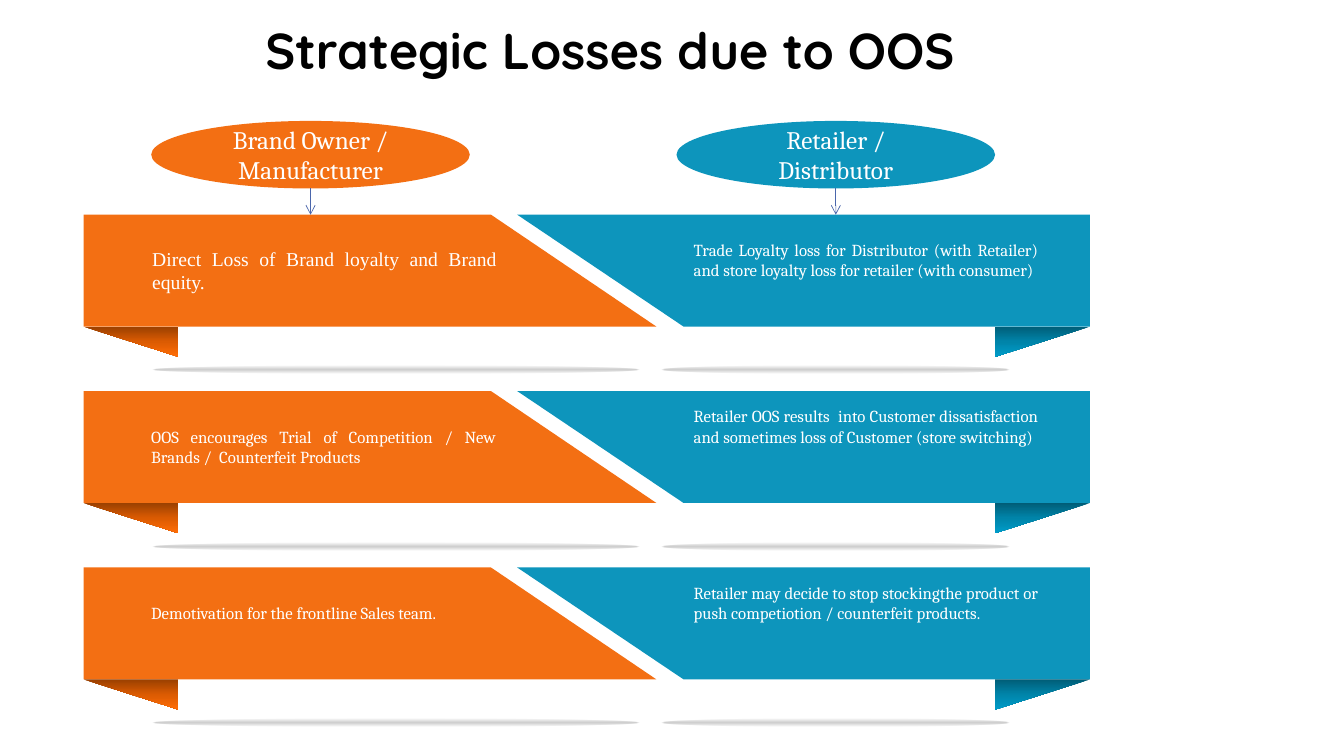
from lxml import etree
from pptx import Presentation
from pptx.dml.color import RGBColor
from pptx.enum.shapes import MSO_CONNECTOR, MSO_SHAPE
from pptx.enum.text import MSO_ANCHOR, MSO_AUTO_SIZE, PP_ALIGN
from pptx.oxml import parse_xml
from pptx.oxml.ns import nsdecls, qn
from pptx.util import Inches, Pt

OVAL, FOLD = MSO_SHAPE.OVAL, MSO_SHAPE.RIGHT_TRIANGLE
LINE = MSO_CONNECTOR.STRAIGHT
CENTER, JUSTIFY = PP_ALIGN.CENTER, PP_ALIGN.JUSTIFY
MIDDLE, BOTTOM, TOP = MSO_ANCHOR.MIDDLE, MSO_ANCHOR.BOTTOM, MSO_ANCHOR.TOP
GROW = MSO_AUTO_SIZE.SHAPE_TO_FIT_TEXT

ORANGE = RGBColor(0xF3, 0x6F, 0x13)
TEAL = RGBColor(0x0D, 0x95, 0xBC)
NAVY = RGBColor(0x4A, 0x66, 0xAC)
WHITE = RGBColor(255, 255, 255)
BLACK = RGBColor(0, 0, 0)

# Content
TITLE = "Strategic Losses due to OOS"
# Heading, left edge, colour
HEADS = [
    ("Brand Owner / Manufacturer", 1.5, ORANGE),
    ("Retailer / Distributor", 6.71, TEAL),
]
# Per row, left then right: text, left edge, drop below band top, height, font, size
ROWS = [
    [("Direct Loss of Brand loyalty and Brand equity.",
      1.51, 0.27, 0.57, "Times New Roman", 14),
     ("Trade Loyalty loss for Distributor (with Retailer) and store loyalty "
      "loss for retailer (with consumer)", 6.88, 0.2, 0.71, "Cambria", 12)],
    [("OOS encourages Trial of Competition / New Brands /  Counterfeit Products",
      1.5, 0.3, 0.5, "Cambria", 12),
     ("Retailer OOS results  into Customer dissatisfaction and sometimes loss "
      "of Customer (store switching)", 6.88, 0.1, 0.71, "Cambria", 12)],
    [("Demotivation for the frontline Sales team.",
      1.5, 0.3, 0.3, "Cambria", 12),
     ("Retailer may decide to stop stockingthe product or push competiotion / "
      "counterfeit products.", 6.88, 0.1, 0.71, "Cambria", 12)],
]
# Band: colour, x of top left, top right, bottom right, bottom left
BANDS = [
    (ORANGE, (0.83, 4.87, 6.51, 0.83)),
    (TEAL, (5.13, 10.81, 10.81, 6.78)),
]
# Fold: left edge, flips, gradient colours
FOLDS = [
    (0.83, ("flipH", "flipV"), ("9A4001", "DB5B02", "FF6D07")),
    (9.87, ("flipV",), ("005D77", "0084A9", "009CC9")),
]
SHADES = [(1.51, 4.83), (6.56, 3.45)]  # left edge, width
FIRST, PITCH, BAND = 2.13, 1.75, 1.11
HEAD_TOP, HEAD_W, HEAD_H = 1.2, 3.16, 0.67

deck = Presentation()
deck.slide_width, deck.slide_height = Inches(13.33), Inches(7.5)
slide = deck.slides.add_slide(deck.slide_layouts[6])
shapes = slide.shapes


def plain(shape, color=None):
    shape.shadow.inherit = False
    shape.line.fill.background()
    if color is not None:
        shape.fill.solid()
        shape.fill.fore_color.rgb = color
    return shape


def add(kind, *box):
    return shapes.add_shape(kind, *map(Inches, box))


def blend(shape, stops, way):
    """Fill with a gradient; stops are (percent, colour, alpha percent)."""
    marks = "".join(
        f'<a:gs pos="{pos * 1000}"><a:srgbClr val="{color}">'
        f'<a:alpha val="{alpha * 1000}"/></a:srgbClr></a:gs>'
        for pos, color, alpha in stops)
    fill = parse_xml(f'<a:gradFill {nsdecls("a")} rotWithShape="1">'
                     f'<a:gsLst>{marks}</a:gsLst>{way}</a:gradFill>')
    shape._element.spPr.find(qn("a:prstGeom")).addnext(fill)


def write(shape, text, font, size, color, align, anchor, bold=False):
    frame = shape.text_frame
    frame.text = text
    frame.word_wrap = True
    frame.vertical_anchor = anchor
    para = frame.paragraphs[0]
    para.alignment = align
    face = para.runs[0].font
    face.name, face.size, face.bold = font, Pt(size), bold
    face.color.rgb = color
    return frame


def add_text(box, *style):
    return write(shapes.add_textbox(*map(Inches, box)), *style)


# Title
title = add_text((1.3, 0.25, 9.5, 0.58), TITLE, "Quicksand", 36, BLACK,
                 CENTER, BOTTOM, True)
title.paragraphs[0].line_spacing = 0.8

# Ribbon rows
for row, notes in enumerate(ROWS):
    top = FIRST + row * PITCH
    base = top + BAND
    for color, xs in BANDS:
        points = [(Inches(x), Inches(y))
                  for x, y in zip(xs, (top, top, base, base))]
        outline = shapes.build_freeform(*points[0])
        outline.add_line_segments(points[1:])
        plain(outline.convert_to_shape(), color)
    for left, flips, colors in FOLDS:
        fold = plain(add(FOLD, left, base, 0.94, 0.3))
        for flip in flips:
            fold._element.spPr.xfrm.set(flip, "1")
        blend(fold, [(50 * i, c, 100) for i, c in enumerate(colors)],
              '<a:lin ang="16200000" scaled="1"/>')
    for left, width in SHADES:
        shade = plain(add(OVAL, left, top + 1.5, width, 0.08))
        blend(shade, [(0, "000000", 20), (100, "000000", 0)],
              '<a:path path="shape"><a:fillToRect l="50000" t="50000" '
              'r="50000" b="50000"/></a:path>')
    for text, left, drop, height, font, size in notes:
        note = add_text((left, top + drop, 3.42, height), text, font, size,
                        WHITE, JUSTIFY, TOP)
        note.margin_left = note.margin_right = 0
        note.auto_size = GROW

# Headings with arrows down to the first row
for text, left, color in HEADS:
    head = plain(add(OVAL, left, HEAD_TOP, HEAD_W, HEAD_H), color)
    write(head, text, "Cambria", 18, WHITE, CENTER, MIDDLE)
    mid = left + HEAD_W / 2
    arrow = shapes.add_connector(LINE, *map(
        Inches, (mid, HEAD_TOP + HEAD_H, mid, FIRST)))
    arrow.line.color.rgb = NAVY
    arrow.line.width = Pt(0.5)
    etree.SubElement(arrow.line._get_or_add_ln(), qn("a:tailEnd"), type="arrow")
    etree.SubElement(arrow._element.spPr, qn("a:effectLst"))

deck.save("out.pptx")
